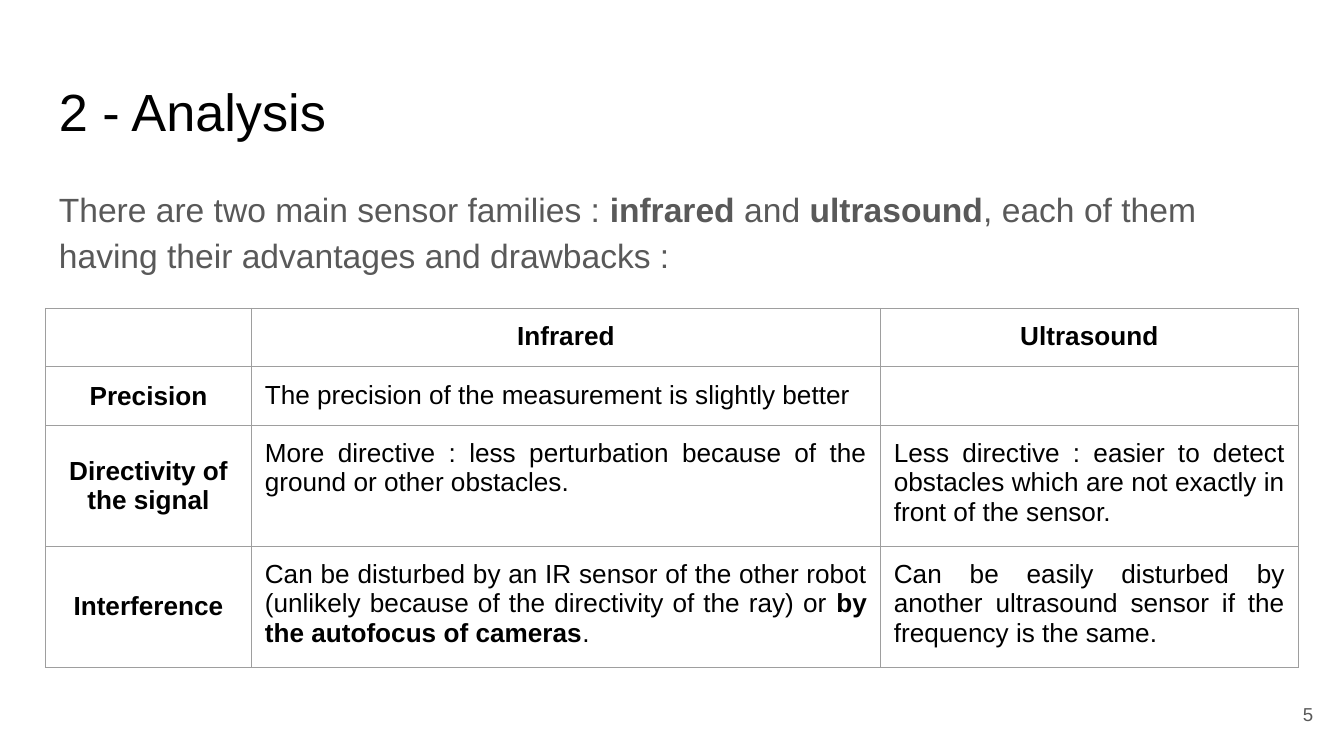
from dataclasses import dataclass

from lxml import etree
from pptx import Presentation
from pptx.dml.color import RGBColor
from pptx.enum.text import MSO_ANCHOR, PP_ALIGN
from pptx.oxml.ns import qn
from pptx.util import Pt

LEFT, MID, RIGHT, JUST = PP_ALIGN.LEFT, PP_ALIGN.CENTER, PP_ALIGN.RIGHT, PP_ALIGN.JUSTIFY
TOP, MIDDLE = MSO_ANCHOR.TOP, MSO_ANCHOR.MIDDLE


@dataclass(frozen=True)
class Theme:
    font: str = "Arial"
    black: str = "000000"
    grey: str = "595959"
    rule: str = "9E9E9E"
    title: float = 28
    body: float = 18
    cell: float = 14
    small: float = 10
    pad: float = 7.2
    line: float = 0.75


@dataclass(frozen=True)
class Run:
    text: str
    bold: bool = False


@dataclass(frozen=True)
class Box:
    left: float
    top: float
    width: float
    height: float
    runs: tuple[Run, ...]
    size: float
    color: str
    align: PP_ALIGN = LEFT
    anchor: MSO_ANCHOR = TOP
    space: float = 1.0


@dataclass(frozen=True)
class Row:
    height: float
    cells: tuple[tuple[Run, ...], ...]


THEME = Theme()

# Text around the table
BOXES = (
    Box(24.5, 35.3, 671, 45.4, (Run("2 - Analysis"),), THEME.title, THEME.black),
    Box(24.5, 90.7, 659, 269.3, (
        Run("There are two main sensor families : "),
        Run("infrared ", True),
        Run("and "),
        Run("ultrasound", True),
        Run(", each of them having their advantages and drawbacks :"),
    ), THEME.body, THEME.grey, space=1.15),
    Box(667.4, 367.2, 43.2, 31, (Run("5"),), THEME.small, THEME.grey, RIGHT, MIDDLE),
)

# Table content
COLS = (110.2, 337, 223.9)
ROWS = (
    Row(31, ((), (Run("Infrared", True),), (Run("Ultrasound", True),))),
    Row(30.2, (
        (Run("Precision", True),),
        (Run("The precision of the measurement is slightly better"),),
        (),
    )),
    Row(61.6, (
        (Run("Directivity of the signal", True),),
        (Run("More directive : less perturbation because of the ground or other obstacles."),),
        (Run("Less directive : easier to detect obstacles which are not exactly in front of the sensor."),),
    )),
    Row(61.6, (
        (Run("Interference", True),),
        (
            Run("Can be disturbed by an IR sensor of the other robot "
                "(unlikely because of the directivity of the ray) or "),
            Run("by the autofocus of cameras", True),
            Run("."),
        ),
        (Run("Can be easily disturbed by another ultrasound sensor if the frequency is the same."),),
    )),
)


def set_pad(item) -> None:
    item.margin_left = item.margin_right = Pt(THEME.pad)
    item.margin_top = item.margin_bottom = Pt(THEME.pad)


def add_runs(para, runs: tuple[Run, ...], size: float, color: str) -> None:
    for run in runs:
        part = para.add_run()
        part.text = run.text
        font = part.font
        font.name, font.size, font.bold = THEME.font, Pt(size), run.bold
        font.color.rgb = RGBColor.from_string(color)


def draw_box(slide, box: Box) -> None:
    frame = slide.shapes.add_textbox(
        Pt(box.left), Pt(box.top), Pt(box.width), Pt(box.height)).text_frame
    frame.word_wrap = True
    frame.vertical_anchor = box.anchor
    set_pad(frame)
    para = frame.paragraphs[0]
    para.alignment, para.line_spacing = box.align, box.space
    add_runs(para, box.runs, box.size, box.color)


def add_rules(cell) -> None:
    props = cell._tc.get_or_add_tcPr()
    for side in ("lnL", "lnR", "lnT", "lnB"):
        line = etree.SubElement(props, qn(f"a:{side}"), w=str(Pt(THEME.line)))
        fill = etree.SubElement(line, qn("a:solidFill"))
        etree.SubElement(fill, qn("a:srgbClr"), val=THEME.rule)


def draw_cell(cell, runs: tuple[Run, ...], head: bool, label: bool) -> None:
    set_pad(cell)
    cell.vertical_anchor = MIDDLE if label else TOP
    add_rules(cell)
    cell.fill.background()
    para = cell.text_frame.paragraphs[0]
    para.alignment = MID if head or label else JUST
    add_runs(para, runs, THEME.cell, THEME.black)
    if not runs:  # keeps an empty cell from stretching its row
        etree.SubElement(para._p, qn("a:endParaRPr"), sz=str(int(THEME.cell * 100)))


def draw_table(slide, left: float, top: float) -> None:
    high = sum(row.height for row in ROWS)
    table = slide.shapes.add_table(
        len(ROWS), len(COLS), Pt(left), Pt(top), Pt(sum(COLS)), Pt(high)).table
    table.first_row = table.horz_banding = False
    for col, width in zip(table.columns, COLS):
        col.width = Pt(width)
    for i, row in enumerate(ROWS):
        table.rows[i].height = Pt(row.height)
        for j, runs in enumerate(row.cells):
            draw_cell(table.cell(i, j), runs, i == 0, j == 0)


def main() -> None:
    deck = Presentation()
    deck.slide_width, deck.slide_height = Pt(720), Pt(405)
    slide = deck.slides.add_slide(deck.slide_layouts[6])
    for box in BOXES:
        draw_box(slide, box)
    draw_table(slide, 24.5, 165.3)
    deck.save("out.pptx")


if __name__ == "__main__":
    main()
